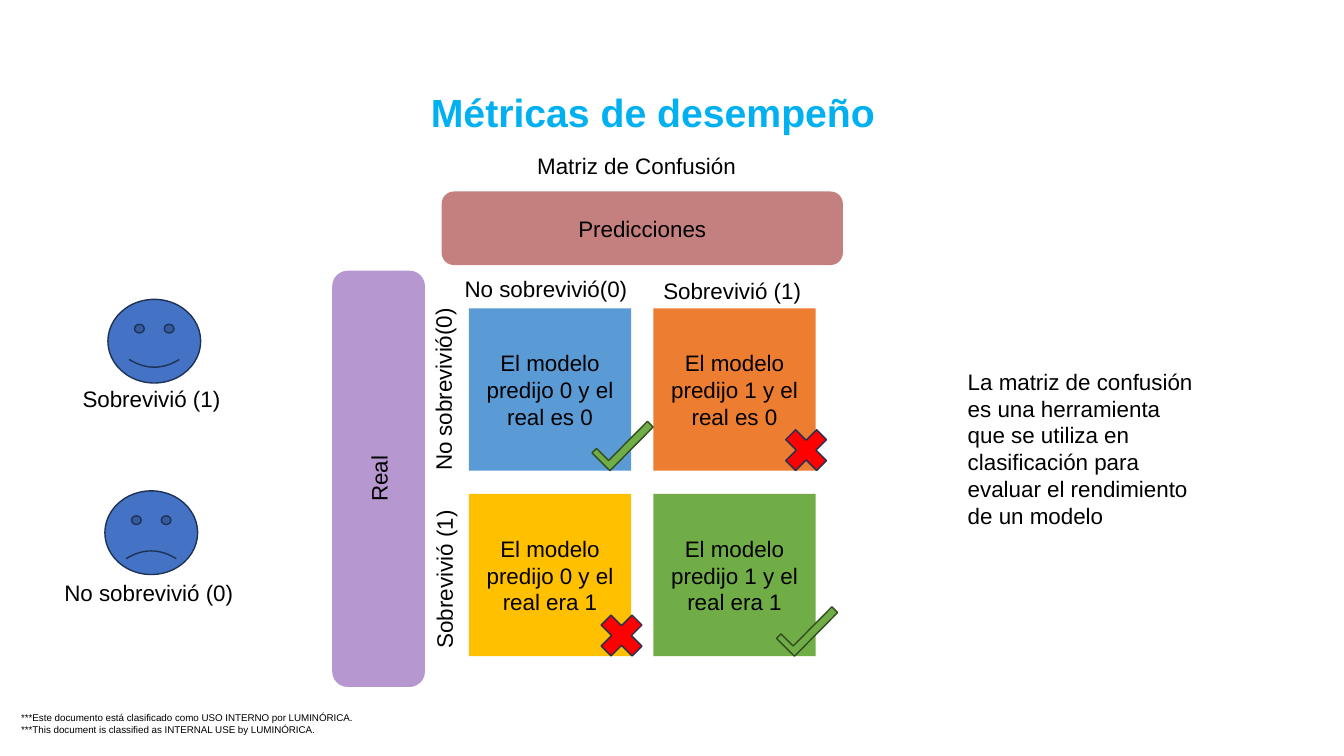
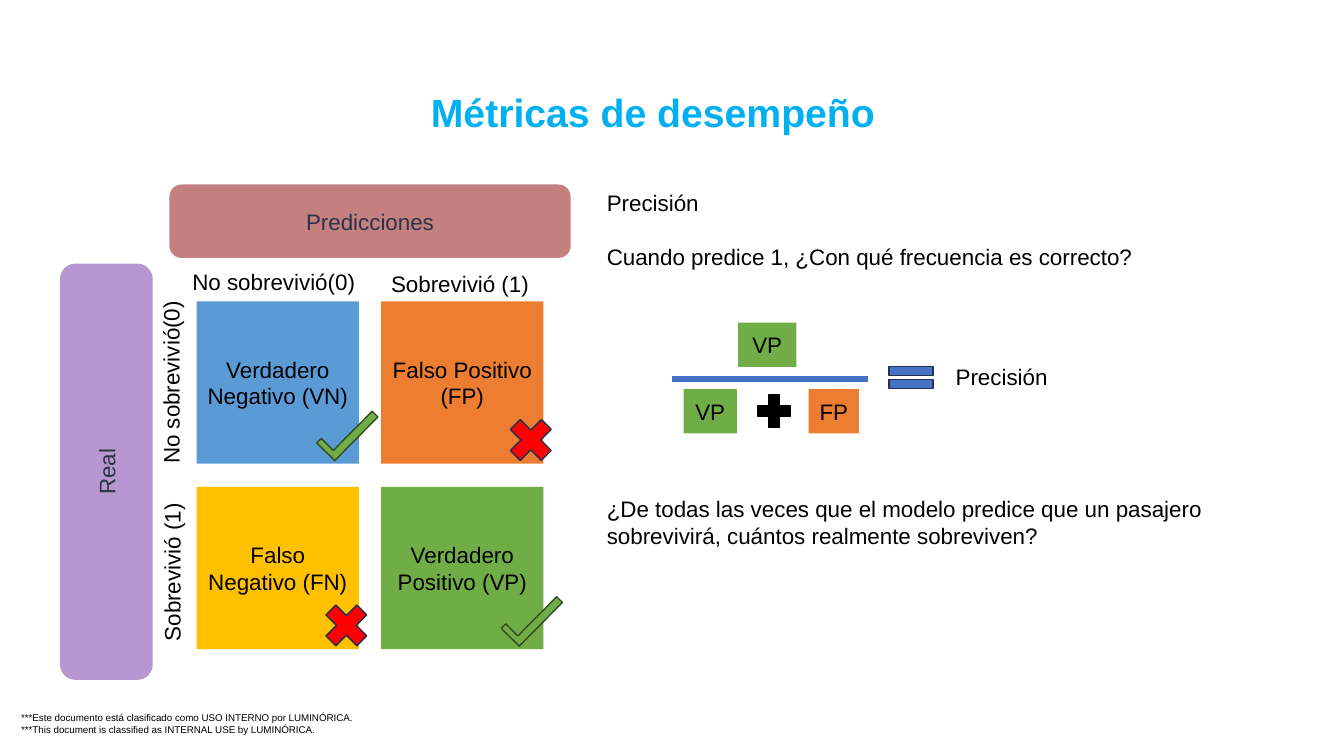
import lxml.etree
import pptx
import pptx.dml.color
import pptx.enum.shapes
import pptx.enum.text
import pptx.oxml.ns
import pptx.util

RGB = pptx.dml.color.RGBColor
SHAPE = pptx.enum.shapes.MSO_SHAPE
ALIGN = pptx.enum.text.PP_ALIGN
ANCHOR = pptx.enum.text.MSO_ANCHOR
qn = pptx.oxml.ns.qn

BLACK = RGB(0x00, 0x00, 0x00)
SLATE = RGB(0x2A, 0x34, 0x46)
CYAN = RGB(0x00, 0xB0, 0xF0)
BLUE = RGB(0x44, 0x72, 0xC4)
NAVY = RGB(0x1E, 0x32, 0x56)
SKY = RGB(0x5B, 0x9B, 0xD5)
ORANGE = RGB(0xED, 0x7D, 0x31)
YELLOW = RGB(0xFF, 0xC0, 0x00)
GREEN = RGB(0x70, 0xAD, 0x47)
DARK_GREEN = RGB(0x31, 0x4C, 0x1F)
RED = RGB(0xFF, 0x00, 0x00)
MAROON = RGB(0x8A, 0x00, 0x00)
PURPLE = RGB(0x70, 0x30, 0xA0)

FONT = "Arial"
TITLE = "Métricas de desempeño"
FOOTER = (
    "***Este documento está clasificado como USO INTERNO por LUMINÓRICA.\n"
    "***This document is classified as INTERNAL USE by LUMINÓRICA."
)
DIED = "No sobrevivió(0)"
SURVIVED = "Sobrevivió (1)"
CELL = 161
PITCH_X, PITCH_Y = 183, 184
CELL_COLORS = ((SKY, ORANGE), (YELLOW, GREEN))


def px(n):
    """Turn px, 100 to the inch, into EMU."""
    return pptx.util.Emu(n * 9144)


def write(tf, text, size=16, color=BLACK, bold=False, align=ALIGN.LEFT):
    """Write one paragraph into an empty text frame."""
    p = tf.paragraphs[0]
    p.text = text
    style(p, size, color, bold, align)


def style(p, size=16, color=BLACK, bold=False, align=ALIGN.LEFT):
    """Set alignment and font of a paragraph."""
    p.alignment = align
    p.font.name = FONT
    p.font.size = pptx.util.Pt(size)
    p.font.bold = bold
    p.font.color.rgb = color


def add_text(s, x, y, w, h, text, wrap=False, rotation=0, **font):
    """Add a text box and return its text frame."""
    box = s.shapes.add_textbox(px(x), px(y), px(w), px(h))
    box.rotation = rotation
    tf = box.text_frame
    tf.word_wrap = wrap
    write(tf, text, **font)
    return tf


def add_shape(s, kind, x, y, w, h, fill, line=None, rotation=0, adjust=()):
    """Add a flat preset shape, outlined if a line colour is given."""
    sp = s.shapes.add_shape(kind, px(x), px(y), px(w), px(h))
    sp.shadow.inherit = False
    sp.rotation = rotation
    sp.fill.solid()
    sp.fill.fore_color.rgb = fill
    if line is None:
        sp.line.fill.background()
    else:
        sp.line.color.rgb = line
        sp.line.width = pptx.util.Pt(1)
    for i, value in enumerate(adjust):
        sp.adjustments[i] = value
    return sp


def add_block(s, x, y, w, h, text, fill, color=BLACK, kind=SHAPE.RECTANGLE, rotation=0):
    """Add a filled shape with centred text."""
    sp = add_shape(s, kind, x, y, w, h, fill, rotation=rotation)
    tf = sp.text_frame
    tf.word_wrap = True
    tf.vertical_anchor = ANCHOR.MIDDLE
    write(tf, text, color=color, align=ALIGN.CENTER)
    return sp


def add_band(s, x, y, w, h, text, fill, color, rotation=0):
    """Add a half-transparent rounded band."""
    sp = add_block(s, x, y, w, h, text, fill, color, SHAPE.ROUNDED_RECTANGLE, rotation)
    rgb = sp._element.spPr.find(qn("a:solidFill")).find(qn("a:srgbClr"))
    lxml.etree.SubElement(rgb, qn("a:alpha")).set("val", "50000")


def add_rule(s, x1, x2, y, color, width):
    """Add a horizontal line without shadow."""
    line = s.shapes.add_connector(
        pptx.enum.shapes.MSO_CONNECTOR.STRAIGHT, px(x1), px(y), px(x2), px(y))
    line.line.color.rgb = color
    line.line.width = pptx.util.Pt(width)
    lxml.etree.SubElement(line._element.spPr, qn("a:effectLst"))


def add_mark(s, x, y, correct):
    """Add a green check or a red cross."""
    if correct:
        add_shape(s, SHAPE.CORNER, x, y - 4, 61, 25, GREEN, DARK_GREEN, 314.7, (0.32, 0.252))
    else:
        add_shape(s, SHAPE.MATH_MULTIPLY, x, y - 11, 59, 59, RED, NAVY)


def add_matrix(s, x, y, texts, band_color, mark_offset):
    """Add the confusion matrix with its first cell at x, y."""
    cells = [(row, col, x + col * PITCH_X, y + row * PITCH_Y)
             for row in range(2) for col in range(2)]
    for row, col, left, top in cells:
        add_block(s, left, top, CELL, CELL, texts[row][col], CELL_COLORS[row][col])
    add_band(s, x - 27, y - 116, 398, 73, "Predicciones", MAROON, band_color)
    add_band(s, x - 296, y + 123, 413, 92, "Real", PURPLE, band_color, 270)
    add_text(s, x - 14, y - 38, 183, 37, DIED)
    add_text(s, x + PITCH_X, y - 36, 159, 37, SURVIVED)
    add_text(s, x - 117, y + 61, 183, 37, DIED, rotation=270)
    add_text(s, x - 104, y + 249, 159, 37, SURVIVED, rotation=270)
    for row, col, left, top in cells:
        add_mark(s, left + mark_offset, top + mark_offset, row == col)


def add_precision_formula(s):
    """Add the fraction that defines precision."""
    add_block(s, 732, 320, 58, 44, "VP", GREEN)
    add_rule(s, 667, 861, 376, BLUE, 4.5)
    add_block(s, 678, 386, 53, 44, "VP", GREEN)
    add_shape(s, SHAPE.MATH_PLUS, 746, 386, 44, 44, BLACK, BLACK)
    add_block(s, 802, 386, 50, 44, "FP", ORANGE)
    add_shape(s, SHAPE.MATH_EQUAL, 874, 356, 59, 37, BLUE, NAVY)
    add_text(s, 938, 355, 112, 37, "Precisión")


def add_slide(prs):
    """Add a blank slide with the shared title and footer."""
    s = prs.slides.add_slide(prs.slide_layouts[6])
    tf = add_text(s, 21, 706, 334, 23, FOOTER, size=7)
    tf.margin_left = tf.margin_right = tf.margin_top = tf.margin_bottom = 0
    tf = add_text(s, 330, 83, 635, 56, TITLE, wrap=True,
                  size=28, color=CYAN, bold=True, align=ALIGN.CENTER)
    tf.vertical_anchor = ANCHOR.MIDDLE
    return s


def build_confusion_slide(prs):
    """Build the slide that explains the confusion matrix."""
    s = add_slide(prs)
    add_text(s, 523, 146, 220, 37, "Matriz de Confusión")
    add_shape(s, SHAPE.SMILEY_FACE, 107, 297, 92, 83, BLUE, NAVY)
    add_text(s, 72, 377, 159, 37, SURVIVED)
    add_shape(s, SHAPE.SMILEY_FACE, 104, 487, 92, 83, BLUE, NAVY, adjust=(-0.047,))
    add_text(s, 54, 570, 190, 37, "No sobrevivió (0)")
    texts = (
        ("El modelo predijo 0 y el real es 0", "El modelo predijo 1 y el real es 0"),
        ("El modelo predijo 0 y el real era 1", "El modelo predijo 1 y el real era 1"),
    )
    add_matrix(s, 465, 306, texts, BLACK, 122)
    add_text(s, 950, 360, 250, 172,
             "La matriz de confusión es una herramienta que se utiliza en "
             "clasificación para evaluar el rendimiento de un modelo", wrap=True)


def build_precision_slide(prs):
    """Build the slide that defines precision."""
    s = add_slide(prs)
    tf = add_text(s, 592, 183, 554, 91, "Precisión")
    p = tf.add_paragraph()
    p.text = "Cuando predice 1, ¿Con qué frecuencia es correcto?"
    p.space_before = pptx.util.Pt(19)
    style(p)
    add_precision_formula(s)
    add_text(s, 592, 486, 667, 64,
             "¿De todas las veces que el modelo predice que un pasajero "
             "sobrevivirá, cuántos realmente sobreviven?", wrap=True)
    texts = (
        ("Verdadero Negativo (VN)", "Falso Positivo (FP)"),
        ("Falso Negativo (FN)", "Verdadero Positivo (VP)"),
    )
    add_matrix(s, 195, 299, texts, SLATE, 119)


def main():
    """Build and save the presentation."""
    prs = pptx.Presentation()
    prs.slide_width, prs.slide_height = px(1333), px(750)
    build_confusion_slide(prs)
    build_precision_slide(prs)
    prs.save("out.pptx")


if __name__ == "__main__":
    main()
